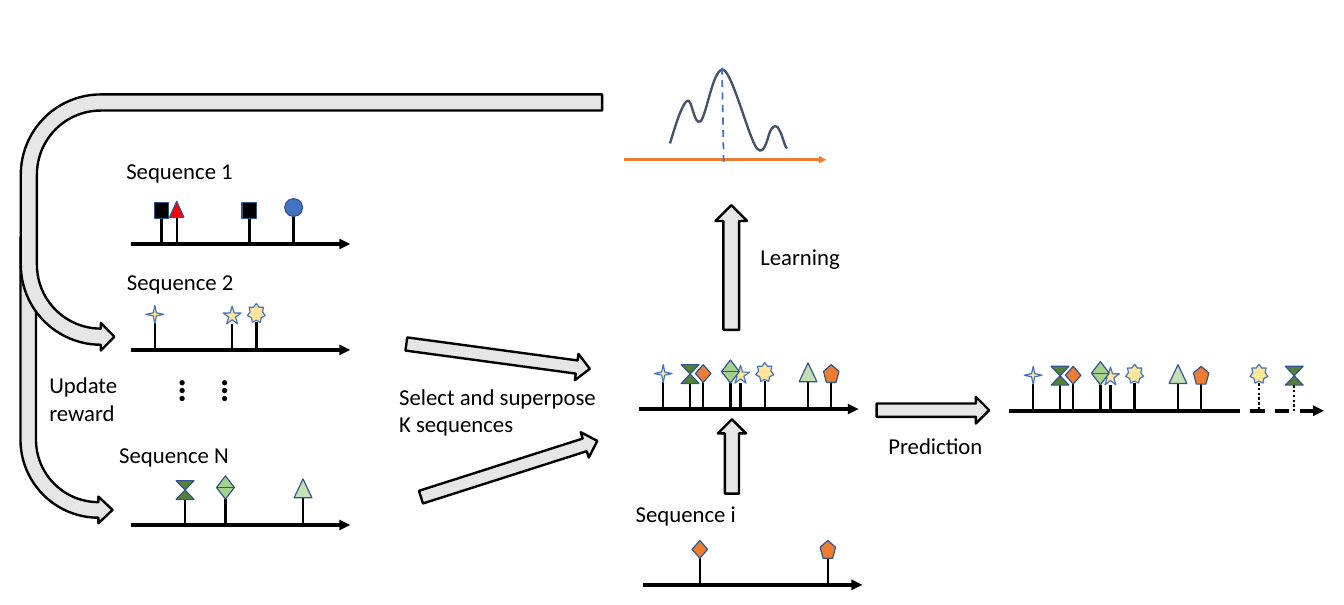
from dataclasses import dataclass

from lxml import etree
from pptx import Presentation
from pptx.dml.color import RGBColor
from pptx.enum.dml import MSO_LINE
from pptx.enum.shapes import MSO_CONNECTOR, MSO_SHAPE
from pptx.enum.text import MSO_AUTO_SIZE
from pptx.oxml.ns import qn
from pptx.util import Cm, Pt

STRAIGHT = MSO_CONNECTOR.STRAIGHT
DASH = MSO_LINE.DASH
DOT = MSO_LINE.ROUND_DOT
FIT_SHAPE = MSO_AUTO_SIZE.SHAPE_TO_FIT_TEXT
RIGHT_ARROW = MSO_SHAPE.RIGHT_ARROW
BENT_ARROW = MSO_SHAPE.BENT_ARROW
U_TURN_ARROW = MSO_SHAPE.U_TURN_ARROW
SQUARE = MSO_SHAPE.RECTANGLE
TRIANGLE = MSO_SHAPE.ISOSCELES_TRIANGLE
CIRCLE = MSO_SHAPE.OVAL
STAR_4 = MSO_SHAPE.STAR_4_POINT
STAR_5 = MSO_SHAPE.STAR_5_POINT
STAR_7 = MSO_SHAPE.STAR_7_POINT
COLLATE = MSO_SHAPE.FLOWCHART_COLLATE
SORT = MSO_SHAPE.FLOWCHART_SORT
EXTRACT = MSO_SHAPE.FLOWCHART_EXTRACT
DIAMOND = MSO_SHAPE.DIAMOND
PENTAGON = MSO_SHAPE.REGULAR_PENTAGON
BOTTOM = 2


@dataclass(frozen=True)
class Theme:
    font: str = "Calibri"
    label_size: float = 19.2
    dots_size: float = 29.9
    black: str = "000000"
    gray: str = "E7E6E6"
    red: str = "FF0000"
    blue: str = "4472C4"
    navy: str = "325491"
    slate: str = "44546A"
    orange: str = "ED7D31"
    yellow: str = "FFE699"
    dark_green: str = "548235"
    green: str = "A9D18E"
    light_green: str = "C5E0B4"
    thin: float = 1
    medium: float = 2
    thick: float = 3


THEME = Theme()

# kind: width, height, rise above the axis, fill, outline
MARKERS = {
    SQUARE: (0.43, 0.48, 1.24, THEME.black, THEME.navy),
    TRIANGLE: (0.43, 0.48, 1.27, THEME.red, THEME.navy),
    CIRCLE: (0.53, 0.53, 1.35, THEME.blue, THEME.navy),
    STAR_4: (0.53, 0.53, 1.32, THEME.yellow, THEME.blue),
    STAR_5: (0.53, 0.53, 1.3, THEME.yellow, THEME.blue),
    STAR_7: (0.53, 0.56, 1.38, THEME.yellow, THEME.blue),
    COLLATE: (0.53, 0.56, 1.32, THEME.dark_green, THEME.navy),
    SORT: (0.53, 0.69, 1.46, THEME.green, THEME.navy),
    EXTRACT: (0.53, 0.56, 1.37, THEME.light_green, THEME.navy),
    DIAMOND: (0.46, 0.53, 1.32, THEME.orange, THEME.navy),
    PENTAGON: (0.46, 0.53, 1.32, THEME.orange, THEME.navy),
}

SEQUENCE_1 = [(SQUARE, 0.92), (SQUARE, 3.53), (TRIANGLE, 1.37), (CIRCLE, 4.85)]
SEQUENCE_2 = [(STAR_4, 0.72), (STAR_5, 3.02), (STAR_7, 3.74)]
SEQUENCE_N = [(COLLATE, 1.62), (SORT, 2.82), (EXTRACT, 5.13)]
SEQUENCE_I = [(DIAMOND, 1.7), (PENTAGON, 5.51)]
PREDICTED = [(STAR_7, 1), (COLLATE, 2.05)]


def shifted(events, offset):
    return [(kind, position + offset) for kind, position in events]


SUPERPOSED = SEQUENCE_2 + shifted(SEQUENCE_N, -0.1) + shifted(SEQUENCE_I, 0.21)

DENSITY = [
    (19.94, 4.27), (20.12, 3.68), (20.29, 3.12), (20.45, 3),
    (20.6, 2.9), (20.65, 3.76), (20.85, 3.61),
    (21.03, 3.45), (21.23, 1.96), (21.54, 2.08),
    (21.82, 2.24), (22.3, 4.14), (22.53, 4.42),
    (22.78, 4.7), (22.86, 3.94), (22.96, 3.84),
    (23.06, 3.71), (23.09, 3.76), (23.14, 3.78),
    (23.16, 3.81), (23.19, 3.86), (23.24, 3.96),
    (23.29, 4.06), (23.37, 4.39), (23.42, 4.42),
]


class Diagram:
    def __init__(self, page, theme):
        self.page = page
        self.theme = theme

    def stroke(self, line, color, width):
        line.color.rgb = RGBColor.from_string(color)
        line.width = Pt(width)

    def shape(self, kind, left, top, width, height, fill, outline, weight):
        shape = self.page.shapes.add_shape(kind, Cm(left), Cm(top), Cm(width), Cm(height))
        shape.shadow.inherit = False
        shape.fill.solid()
        shape.fill.fore_color.rgb = RGBColor.from_string(fill)
        self.stroke(shape.line, outline, weight)
        return shape

    def arrow(self, kind, left, top, width, height, rotation=0, flip=None, adjustments=()):
        arrow = self.shape(kind, left, top, width, height,
                           self.theme.gray, self.theme.black, self.theme.medium)
        arrow.rotation = rotation
        for index, value in enumerate(adjustments):
            arrow.adjustments[index] = value
        if flip:
            arrow.element.spPr.find(qn("a:xfrm")).set(flip, "1")

    def line(self, start, end, color, width, dash=None, head=False):
        line = self.page.shapes.add_connector(STRAIGHT, *map(Cm, start + end))
        self.stroke(line.line, color, width)
        if dash:
            line.line.dash_style = dash
        properties = line.element.spPr
        if head:
            etree.SubElement(properties.find(qn("a:ln")), qn("a:tailEnd"), type="triangle")
        etree.SubElement(properties, qn("a:effectLst"))
        return line

    def timeline(self, left, axis, events, length=6.53, dash=None, stem_dash=None, head=True):
        black = self.theme.black
        self.line((left, axis), (left + length, axis), black, self.theme.thick, dash, head)
        for kind, position in events:
            width, height, rise, fill, outline = MARKERS[kind]
            center = left + position
            stem = self.line((center, axis - rise + height), (center, axis),
                             black, self.theme.medium, stem_dash)
            marker = self.shape(kind, center - width / 2, axis - rise, width, height,
                                fill, outline, self.theme.thin)
            if kind == SQUARE:
                stem.begin_connect(marker, BOTTOM)

    def label(self, text, left, top, width=3.71, height=1.07, size=None, bold=False, vertical=None):
        box = self.page.shapes.add_textbox(Cm(left), Cm(top), Cm(width), Cm(height))
        frame = box.text_frame
        frame.word_wrap = True
        frame.auto_size = FIT_SHAPE
        frame.text = text
        if vertical:
            box.element.txBody.find(qn("a:bodyPr")).set("vert", vertical)
        for para in frame.paragraphs:
            for span in para.runs:
                span.font.name = self.theme.font
                span.font.size = Pt(size or self.theme.label_size)
                span.font.bold = bold
                span.font.color.rgb = RGBColor.from_string(self.theme.black)

    def curve(self, points, color):
        start, *rest = [(Cm(x), Cm(y)) for x, y in points]
        builder = self.page.shapes.build_freeform(*start)
        builder.add_line_segments(rest, close=False)
        curve = builder.convert_to_shape()
        curve.shadow.inherit = False
        curve.fill.background()
        self.stroke(curve.line, color, self.theme.medium)
        outline = next(curve.element.iter(qn("a:path")))
        segments = outline.findall(qn("a:lnTo"))
        for index in range(0, len(segments), 3):
            bezier = etree.SubElement(outline, qn("a:cubicBezTo"))
            for segment in segments[index:index + 3]:
                bezier.append(segment[0])
                outline.remove(segment)


def main():
    deck = Presentation()
    deck.slide_width, deck.slide_height = Cm(40), Cm(18)
    page = deck.slides.add_slide(deck.slide_layouts[6])
    diagram = Diagram(page, THEME)

    diagram.arrow(BENT_ARROW, 0.61, 7.06, 2.74, 8.51, flip="flipV",
                  adjustments=(0.169, 0.145, 0.153, 0.847))
    diagram.timeline(3.89, 7.26, SEQUENCE_1)
    diagram.timeline(3.89, 10.41, SEQUENCE_2)
    diagram.label("… …", 6.02, 11, 1.78, 2.01, THEME.dots_size, True, "eaVert")
    diagram.timeline(3.89, 15.62, SEQUENCE_N)
    diagram.timeline(19.02, 12.17, SUPERPOSED)
    diagram.timeline(19.13, 17.4, SEQUENCE_I)
    diagram.timeline(30.03, 12.22, SUPERPOSED, head=False)
    diagram.timeline(36.47, 12.22, PREDICTED, length=2.93, dash=DASH, stem_dash=DOT)

    diagram.line((18.57, 4.75), (24.59, 4.75), THEME.orange, THEME.medium, head=True)
    diagram.curve(DENSITY, THEME.slate)
    diagram.line((21.49, 2.01), (21.54, 4.95), THEME.blue, 1.5, DASH)

    diagram.arrow(RIGHT_ARROW, 12.07, 10.21, 5.51, 0.79, 7.7)
    diagram.arrow(RIGHT_ARROW, 12.4, 13.56, 5.51, 0.79, 342.3)
    diagram.arrow(RIGHT_ARROW, 19.91, 7.49, 3.71, 0.94, 270)
    diagram.arrow(RIGHT_ARROW, 26.09, 11.81, 3.35, 0.79)
    diagram.arrow(RIGHT_ARROW, 20.68, 13.16, 2.21, 0.84, 270)

    diagram.label("Sequence 1", 3.51, 4.55)
    diagram.label("Sequence 2", 3.53, 7.85)
    diagram.label("Sequence N", 3.3, 12.98, 3.81)
    diagram.label("Sequence i", 18.67, 14.73)
    diagram.label("Select and superpose\nK sequences", 11.63, 11.25, 7.32, 1.9)
    diagram.label("Update\nreward", 1.22, 10.92, 2.79, 1.9)
    diagram.label("Learning", 22.38, 7.11, 7.32)
    diagram.label("Prediction", 26.19, 12.73, 7.32)

    diagram.arrow(U_TURN_ARROW, 5.46, -2.03, 7.62, 17.3, 270, "flipH",
                  (0.063, 0.054, 0.053, 0.438, 0.161))
    deck.save("out.pptx")


if __name__ == "__main__":
    main()
